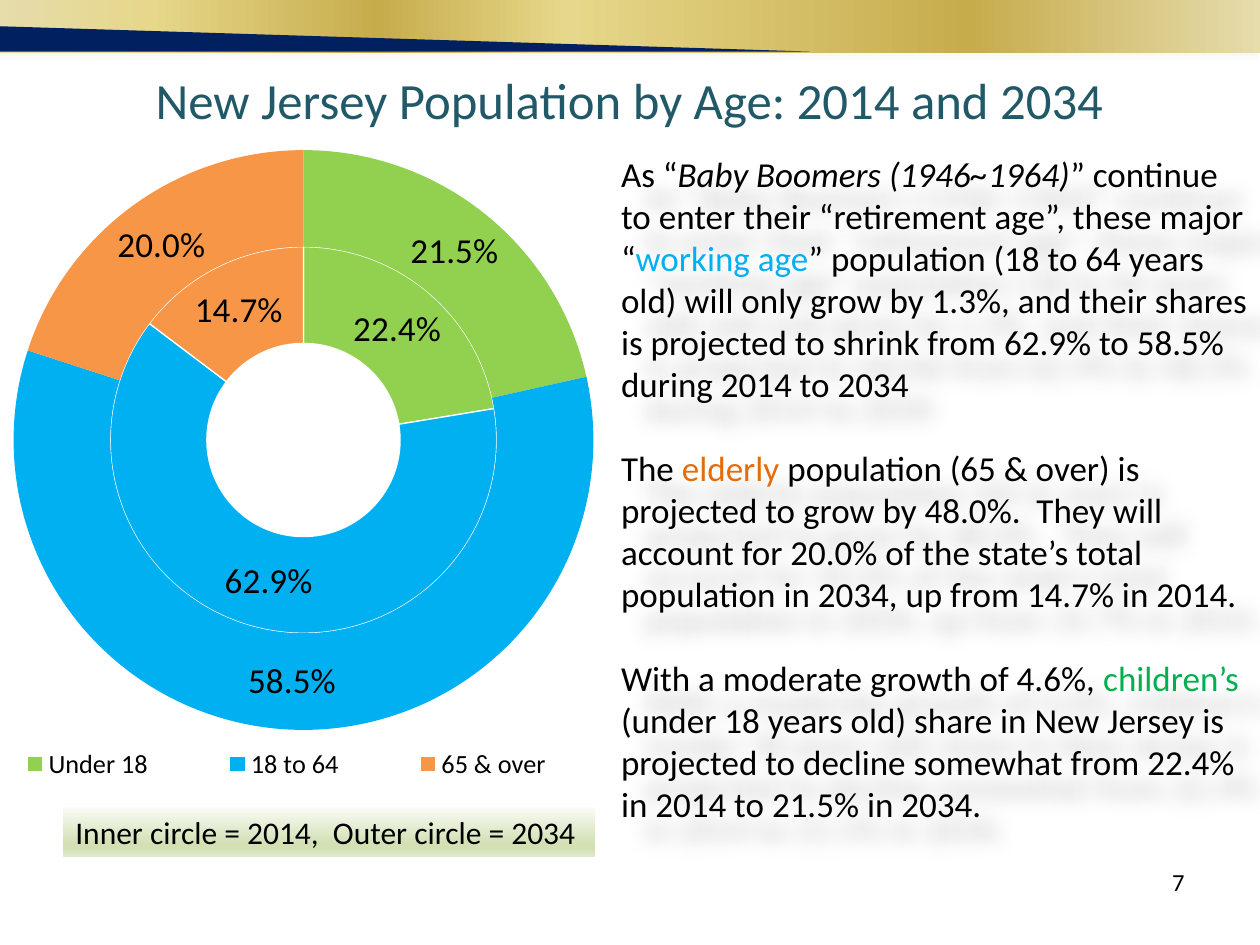
from lxml import etree
from pptx import Presentation
from pptx.chart.data import CategoryChartData
from pptx.dml.color import RGBColor
from pptx.enum.chart import XL_CHART_TYPE, XL_LEGEND_POSITION
from pptx.enum.shapes import MSO_SHAPE
from pptx.enum.text import MSO_ANCHOR, PP_ALIGN
from pptx.oxml import parse_xml
from pptx.oxml.ns import nsdecls, qn
from pptx.util import Cm, Pt

DONUT, BOTTOM = XL_CHART_TYPE.DOUGHNUT, XL_LEGEND_POSITION.BOTTOM
RECT = MSO_SHAPE.RECTANGLE
TOP, MIDDLE = MSO_ANCHOR.TOP, MSO_ANCHOR.MIDDLE
LEFT, CENTER, RIGHT = PP_ALIGN.LEFT, PP_ALIGN.CENTER, PP_ALIGN.RIGHT

BLACK = RGBColor(0, 0, 0)
WHITE = RGBColor(0xFF, 0xFF, 0xFF)
NAVY = RGBColor(0x00, 0x20, 0x60)
TEAL = RGBColor(0x21, 0x59, 0x68)
LIME = RGBColor(0x92, 0xD0, 0x50)
BLUE = RGBColor(0x00, 0xB0, 0xF0)
ORANGE = RGBColor(0xF7, 0x96, 0x46)
RUST = RGBColor(0xE4, 0x6C, 0x0A)
GREEN = RGBColor(0x00, 0xB0, 0x50)
FACE = "Calibri"

# Content
TITLE = "New Jersey Population by Age: 2014 and 2034"
KEY = "Inner circle = 2014,  Outer circle = 2034"
PAGE = "7"
AGES = [("Under 18", LIME), ("18 to 64", BLUE), ("65 & over", ORANGE)]
RINGS = [("2014", (0.224, 0.629, 0.147)), ("2034", (0.215, 0.585, 0.2))]
NOTES = [
    [("As “", {}),
     ("Baby Boomers (1946~1964)", {"italic": True}),
     ("” continue to enter their “retirement age”, these major “", {}),
     ("working age", {"color": BLUE}),
     ("” population (18 to 64 years old) will only grow by 1.3%, and their "
      "shares is projected to shrink from 62.9% to 58.5% during 2014 to 2034", {})],
    [("The ", {}),
     ("elderly", {"color": RUST}),
     (" population (65 & over) is projected to grow by 48.0%.  They will "
      "account for 20.0% of the state’s total population in 2034, up from "
      "14.7% in 2014.", {})],
    [("With a moderate growth of 4.6%, ", {}),
     ("children’s", {"color": GREEN}),
     (" (under 18 years old) share in New Jersey is projected to decline "
      "somewhat from 22.4% in 2014 to 21.5% in 2034.", {})],
]

# Gradients: stops in percent
GOLD = [(0, "E6DCAC"), (12, "E6D78A"), (30, "C7AC4C"),
        (45, "E6D78A"), (77, "C7AC4C"), (100, "E6DCAC")]
HAZE = [(0, "EEECE1"), (100, "FFFFFF")]
SAGE = [(0, "FAFCF7"), (74, "D2E0B4"), (83, "D2E0B4"), (100, "E1EBCD")]

# Places: left, top, width, height in cm
SHADE_AT = (0, 0.84, 25.37, 0.43)
BAND_AT = (0, 0, 25.4, 1.07)
WEDGE = [(0.48, 1.04), (16.33, 1.04), (0, 0.53), (0, 1.04)]
TITLE_AT = (1.27, 1.27, 22.86, 1.47)
CHART_AT = (-2.11, 2.31, 14.88, 14.63)
PAGE_AT = (18.21, 17.35, 5.92, 1.32)
NOTES_AT = (12.27, 2.95, 13.13, 14.71)
KEY_AT = (1.27, 16.26, 10.72, 1.02)


def place(at):
    return [Cm(n) for n in at]


def style(font, size, color=BLACK, **more):
    for name, val in {"name": FACE, "size": Pt(size), **more}.items():
        setattr(font, name, val)
    font.color.rgb = color


def blend(shape, stops, angle):
    marks = "".join(f'<a:gs pos="{pos * 1000}"><a:srgbClr val="{tint}"/></a:gs>'
                    for pos, tint in stops)
    fill = parse_xml(f'<a:gradFill {nsdecls("a")} rotWithShape="1"><a:gsLst>{marks}'
                     f'</a:gsLst><a:lin ang="{angle * 60000}" scaled="0"/></a:gradFill>')
    shape._element.spPr.find(qn("a:prstGeom")).addnext(fill)


def add_bar(slide, at, stops, angle):
    bar = slide.shapes.add_shape(RECT, *place(at))
    bar.shadow.inherit = False
    bar.line.fill.background()
    blend(bar, stops, angle)
    return bar


def write(shape, paras, size, color=BLACK, align=LEFT, anchor=TOP, wrap=True, gap=0):
    frame = shape.text_frame
    frame.word_wrap, frame.vertical_anchor = wrap, anchor
    for i, runs in enumerate(paras):
        para = frame.add_paragraph() if i else frame.paragraphs[0]
        para.alignment = align
        if i:
            para.space_before = Pt(gap)
        for text, form in runs:
            run = para.add_run()
            run.text = text
            style(run.font, size, **{"color": color, **form})


def add_text(slide, at, paras, size, **form):
    box = slide.shapes.add_textbox(*place(at))
    write(box, paras, size, **form)
    return box


def lay_out(part, index, inner, *area):
    old = part.find(qn("c:layout"))
    if old is not None:
        part.remove(old)
    rows = [("layoutTarget", "inner")] if inner else []
    rows += [("xMode", "edge"), ("yMode", "edge"), *zip("xywh", area)]
    body = "".join(f'<c:{tag} val="{val}"/>' for tag, val in rows)
    part.insert(index, parse_xml(f'<c:layout {nsdecls("c")}><c:manualLayout>{body}'
                                 '</c:manualLayout></c:layout>'))


def add_rings(slide):
    data = CategoryChartData(number_format="0.0%")
    data.categories = [age for age, _ in AGES]
    for year, vals in RINGS:
        data.add_series(year, vals)
    chart = slide.shapes.add_chart(DONUT, *place(CHART_AT), data).chart
    style(chart.font, 18)
    chart.has_title = False
    chart.has_legend = True
    chart.legend.position = BOTTOM
    chart.legend.include_in_layout = False
    style(chart.legend.font, 15)
    lay_out(chart._chartSpace.chart.plotArea, 0, True, 0.16, 0.049, 0.786, 0.799)
    lay_out(chart.legend._element, 1, False, 0.08, 0.86, 0.9, 0.07)
    chart.plots[0].vary_by_categories = True
    for ring, ser in enumerate(chart.plots[0].series):
        for i, (_, color) in enumerate(AGES):
            form = ser.points[i].format
            form.fill.solid()
            form.fill.fore_color.rgb = color
            if ring:
                form.line.fill.background()
            else:
                form.line.color.rgb, form.line.width = WHITE, Pt(0.75)
        labels = ser.data_labels
        for name, val in {"show_value": True, "show_percentage": False,
                          "number_format": "0.0%",
                          "number_format_is_linked": False}.items():
            setattr(labels, name, val)
        style(labels.font, 20)


def main():
    deck = Presentation()
    deck.slide_width, deck.slide_height = Cm(25.4), Cm(19.05)
    slide = deck.slides.add_slide(deck.slide_layouts[6])

    # Header band
    add_bar(slide, SHADE_AT, HAZE, 90)
    add_bar(slide, BAND_AT, GOLD, 0)
    start, *rest = [place(point) for point in WEDGE]
    pen = slide.shapes.build_freeform(*start)
    pen.add_line_segments(rest, close=True)
    wedge = pen.convert_to_shape()
    wedge.shadow.inherit = False
    wedge.fill.solid()
    wedge.fill.fore_color.rgb = NAVY
    wedge.line.fill.background()

    # Title, chart and page number
    add_text(slide, TITLE_AT, [[(TITLE, {})]], 29, color=TEAL, align=CENTER, anchor=MIDDLE)
    add_rings(slide)
    add_text(slide, PAGE_AT, [[(PAGE, {})]], 14, align=RIGHT)

    # Commentary with a soft shadow
    notes = add_text(slide, NOTES_AT, NOTES, 20, gap=24)
    glow = etree.SubElement(notes._element.spPr, qn("a:effectLst"))
    cast = etree.SubElement(glow, qn("a:outerShdw"), blurRad="150000",
                            dist="250000", dir="2700000", rotWithShape="0")
    tint = etree.SubElement(cast, qn("a:srgbClr"), val="000000")
    etree.SubElement(tint, qn("a:alpha"), val="25000")

    # Key to the rings
    key = add_bar(slide, KEY_AT, SAGE, 90)
    write(key, [[(KEY, {})]], 18, anchor=MIDDLE, wrap=False)

    deck.save("out.pptx")


if __name__ == "__main__":
    main()
